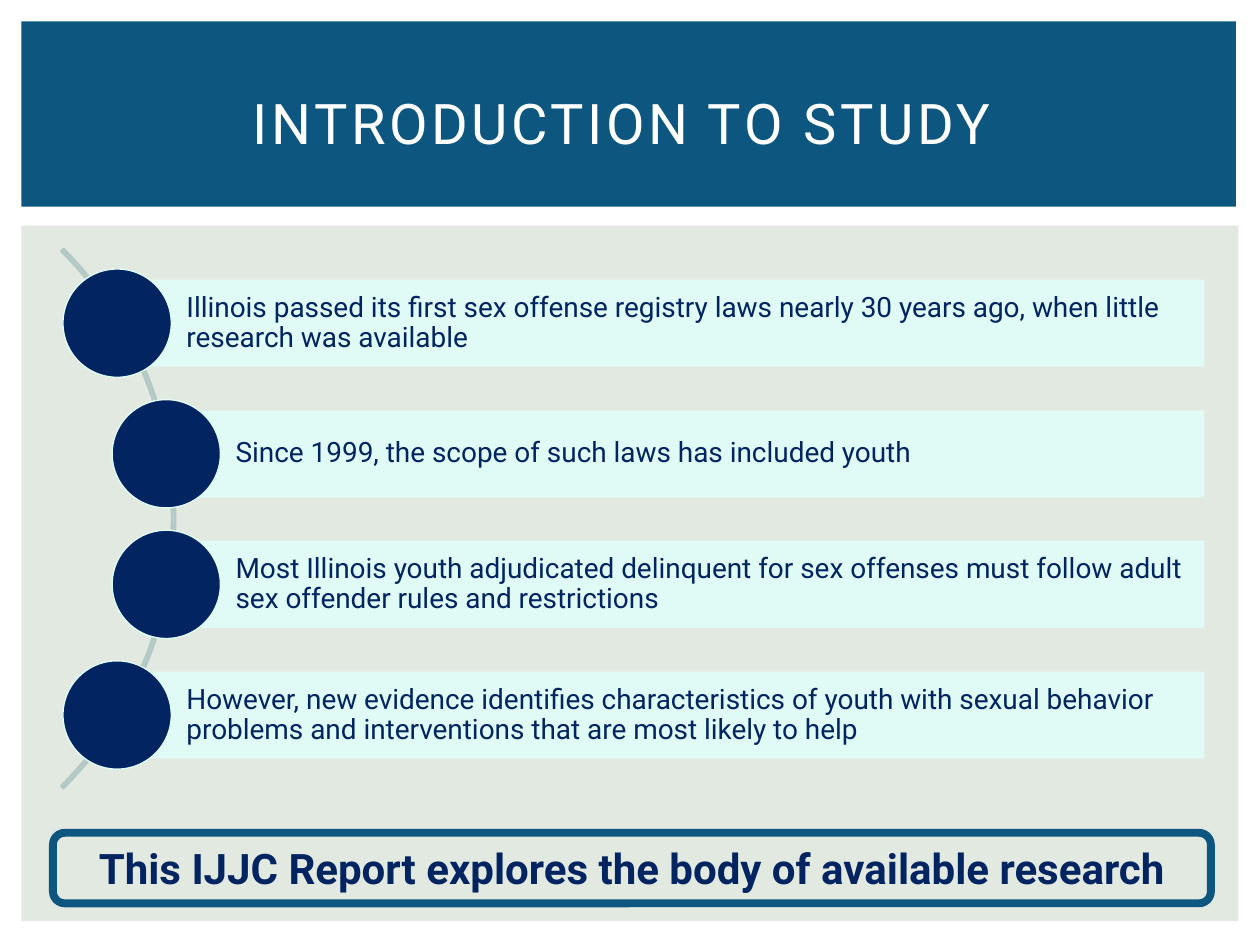
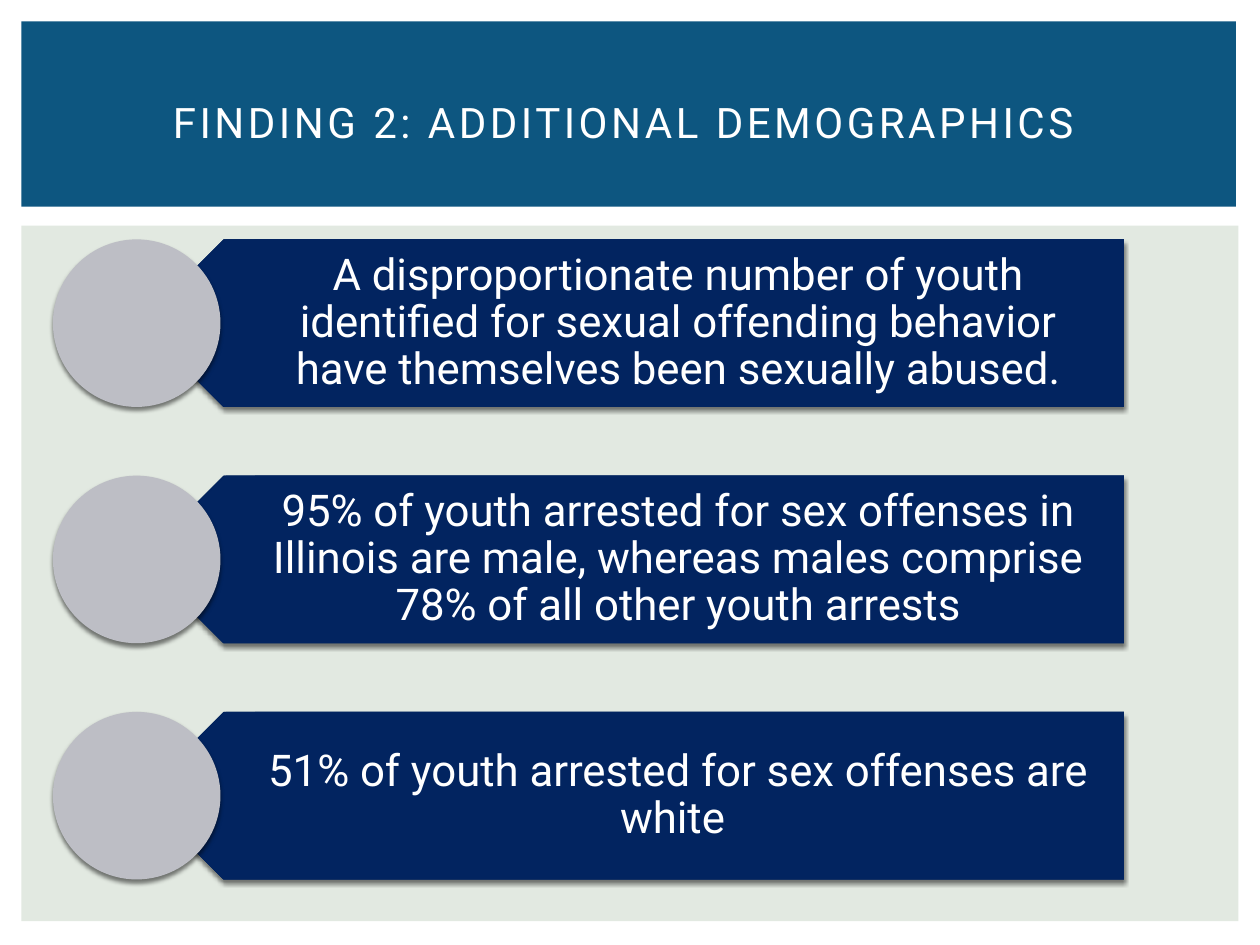
import pptx
import pptx.dml.color
import pptx.enum.shapes
import pptx.enum.text
import pptx.oxml
import pptx.oxml.ns
import pptx.util

Inches = pptx.util.Inches
Pt = pptx.util.Pt
Shape = pptx.enum.shapes.MSO_SHAPE
Align = pptx.enum.text.PP_ALIGN
qn = pptx.oxml.ns.qn


class Theme:
    font = "Roboto"
    white = "FFFFFF"
    band = "0D5680"
    panel = "E2E9E1"
    navy = "022460"
    navy_edge = "022259"
    mint = "E0FBF6"
    arc = "B3C9C5"
    grey = "BDBEC5"
    title_sizes = (32, 24)
    bar_size = 16
    callout_size = 24
    finding_size = 25


def add_block(slide, kind, box, fill=None, line=None, line_width=0.0):
    """Add a preset shape without shadow; no fill or line unless given."""
    block = slide.shapes.add_shape(kind, *map(Inches, box))
    block.shadow.inherit = False
    if fill:
        block.fill.solid()
        block.fill.fore_color.rgb = pptx.dml.color.RGBColor.from_string(fill)
    else:
        block.fill.background()
    if line:
        block.line.color.rgb = pptx.dml.color.RGBColor.from_string(line)
        block.line.width = Pt(line_width)
    else:
        block.line.fill.background()
    return block


def write(holder, text, size, color, align=Align.CENTER,
          insets=(0.1, 0.05, 0.1, 0.05), spacing=1.0):
    """Put one middle-anchored paragraph in a shape and return its run."""
    frame = holder.text_frame
    frame.word_wrap = True
    frame.vertical_anchor = pptx.enum.text.MSO_ANCHOR.MIDDLE
    (frame.margin_left, frame.margin_top,
     frame.margin_right, frame.margin_bottom) = map(Inches, insets)
    frame.text = text
    paragraph = frame.paragraphs[0]
    paragraph.alignment = align
    paragraph.line_spacing = spacing
    run = paragraph.runs[0]
    run.font.name = Theme.font
    run.font.size = Pt(size)
    run.font.color.rgb = pptx.dml.color.RGBColor.from_string(color)
    return run


deck = pptx.Presentation()
deck.slide_width, deck.slide_height = Inches(10), Inches(7.5)

# Shared panel, title band and title
slides = []
titles = ("INTRODUCTION TO STUDY ", "FINDING 2: ADDITIONAL DEMOGRAPHICS ")
for title, title_size in zip(titles, Theme.title_sizes):
    slide = deck.slides.add_slide(deck.slide_layouts[6])
    add_block(slide, Shape.RECTANGLE, (0.17, 1.79, 9.66, 5.52), Theme.panel)
    add_block(slide, Shape.RECTANGLE, (0.17, 0.17, 9.64, 1.47), Theme.band)
    heading = slide.shapes.add_textbox(*map(Inches, (0.42, 0.39, 9.17, 1.15)))
    run = write(heading, title, title_size, Theme.white)
    run.font._element.set("spc", "200")
    slides.append(slide)
introduction, demographics = slides

# Introduction: arc behind the timeline
arc = add_block(introduction, Shape.BLOCK_ARC, (-4.66, 1.09, 6.05, 6.05),
                line=Theme.arc, line_width=1.5)
for index, value in enumerate((189, 27, 0.004)):
    arc.adjustments[index] = value

# Introduction: bars with dots, the middle two pushed right along the arc
statements = [
    (0.93, "Illinois passed its first sex offense registry laws nearly 30 years ago, "
           "when little research was available"),
    (1.32, "Since 1999, the scope of such laws has included youth"),
    (1.32, "Most Illinois youth adjudicated delinquent for sex offenses must follow "
           "adult sex offender rules and restrictions"),
    (0.93, "However, new evidence identifies characteristics of youth with sexual "
           "behavior problems and interventions that are most likely to help"),
]
bar_right, bar_height, dot_size = 9.56, 0.69, 0.86
bar_pitch = (5.33 - 2.22) / 3
for row, (left, statement) in enumerate(statements):
    top = 2.22 + row * bar_pitch
    bar = add_block(introduction, Shape.RECTANGLE,
                    (left, top, bar_right - left, bar_height), Theme.mint)
    write(bar, statement, Theme.bar_size, Theme.navy, Align.LEFT,
          (0.55, 0.04, 0.04, 0.04), 0.9)
    add_block(introduction, Shape.OVAL,
              (left - dot_size / 2, top + (bar_height - dot_size) / 2,
               dot_size, dot_size), Theme.navy, Theme.mint, 0.79)

# Introduction: closing callout
callout = add_block(introduction, Shape.ROUNDED_RECTANGLE, (0.42, 6.61, 9.19, 0.56),
                    line=Theme.band, line_width=4.5)
write(callout, "This IJJC Report explores the body of available research",
      Theme.callout_size, Theme.navy).font.bold = True

# Demographics: arrow bars with discs
findings = [
    "A disproportionate number of youth identified for sexual offending behavior "
    "have themselves been sexually abused.",
    "95% of youth arrested for sex offenses in Illinois are male, whereas males "
    "comprise 78% of all other youth arrests",
    "51% of youth arrested for sex offenses are white ",
]
namespace = pptx.oxml.ns.nsdecls("a")
stops = "".join(f'<a:gs pos="{position}"><a:srgbClr val="{color}"/></a:gs>'
                for position, color in [(0, Theme.navy), (90000, Theme.navy),
                                        (100000, Theme.navy_edge)])
gradient = (f'<a:gradFill {namespace} rotWithShape="1"><a:gsLst>{stops}</a:gsLst>'
            '<a:path path="circle"><a:fillToRect l="100000" t="100000"/></a:path>'
            '</a:gradFill>')
shadow = (f'<a:outerShdw {namespace} blurRad="{int(Pt(2.5))}" dist="{int(Pt(2))}" '
          'dir="5400000" rotWithShape="0"><a:srgbClr val="000000">'
          '<a:alpha val="50000"/></a:srgbClr></a:outerShdw>')
finding_height = 1.33
for row, finding in enumerate(findings):
    top = 1.9 + row * 1.875
    arrow = add_block(demographics, Shape.PENTAGON, (1.11, top, 7.81, finding_height),
                      Theme.navy)
    arrow.rotation = 180
    properties = arrow._element.spPr
    properties.replace(properties.find(qn("a:solidFill")), pptx.oxml.parse_xml(gradient))
    wording = demographics.shapes.add_textbox(
        *map(Inches, (1.44, top, 7.48, finding_height)))
    write(wording, finding, Theme.finding_size, Theme.white,
          insets=(0.59, 0.1, 0.19, 0.1), spacing=0.9)
    disc = add_block(demographics, Shape.OVAL,
                     (0.42, top, finding_height, finding_height), Theme.grey)
    for raised in (arrow, disc):
        effects = raised._element.spPr.find(qn("a:effectLst"))
        effects.append(pptx.oxml.parse_xml(shadow))

deck.save("out.pptx")
